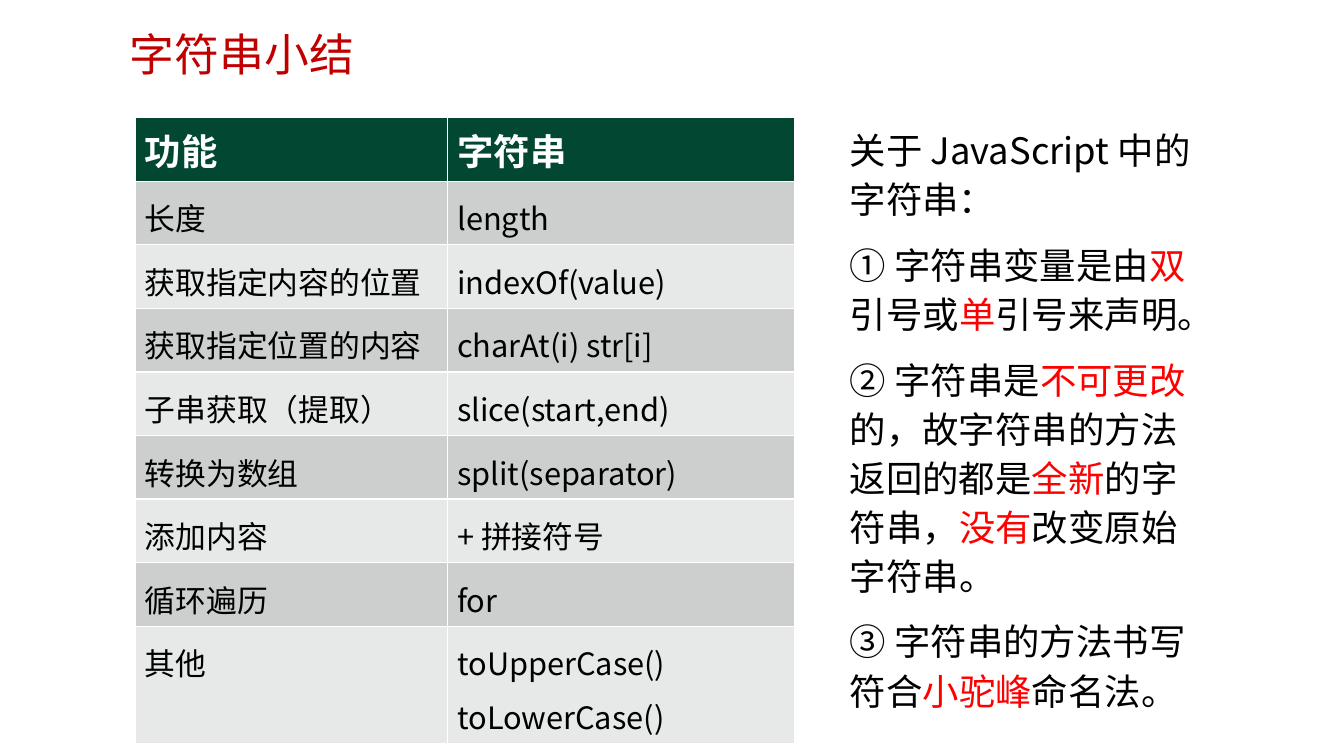
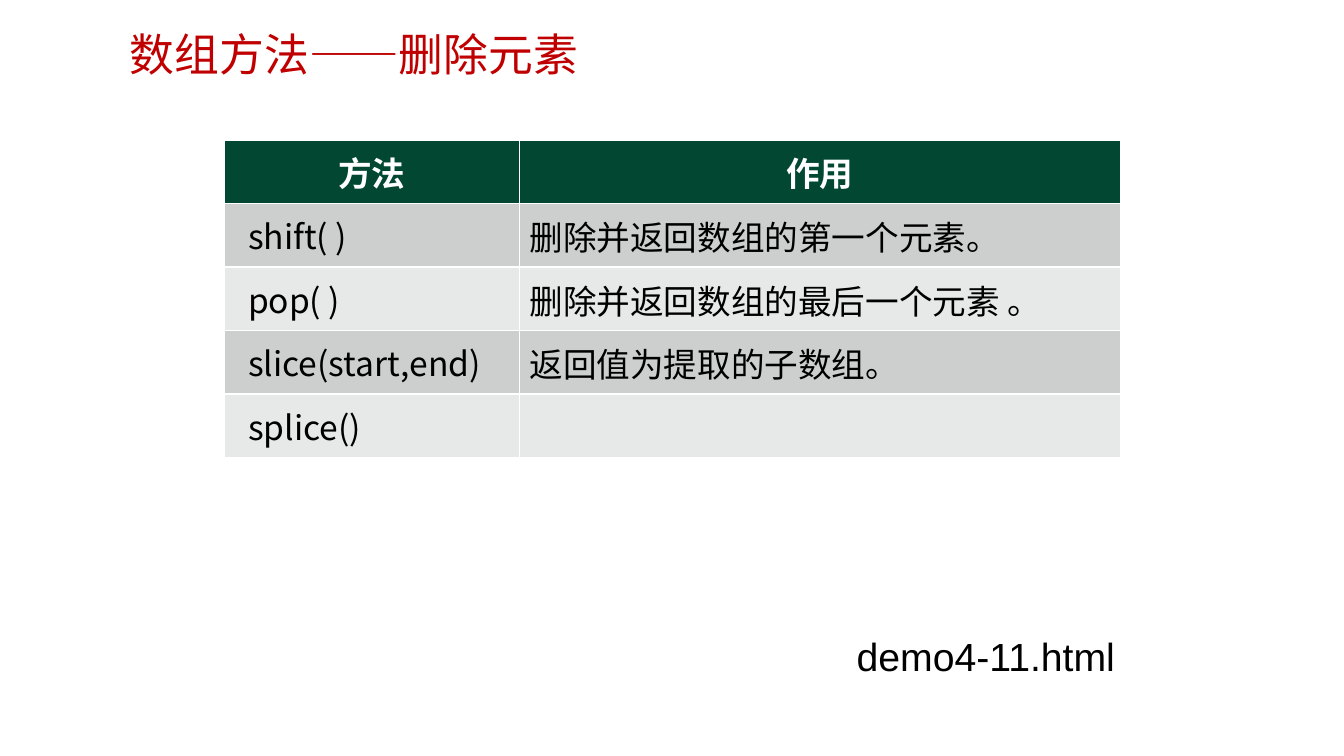
from pptx import Presentation
from pptx.dml.color import RGBColor
from pptx.enum.text import MSO_ANCHOR, MSO_AUTO_SIZE, PP_ALIGN
from pptx.oxml.ns import qn
from pptx.util import Cm, Pt
from lxml import etree

LEFT, CENTER = PP_ALIGN.LEFT, PP_ALIGN.CENTER
MIDDLE = MSO_ANCHOR.MIDDLE
NO_FIT = MSO_AUTO_SIZE.NONE

WHITE = RGBColor(0xFF, 0xFF, 0xFF)
BLACK = RGBColor(0, 0, 0)
RED = RGBColor(0xFF, 0, 0)
TITLE_RED = RGBColor(0xC0, 0, 0)
GREEN = RGBColor(0x02, 0x47, 0x31)
BANDS = [RGBColor(0xE7, 0xE9, 0xE8), RGBColor(0xCC, 0xCF, 0xCE)]

NOTO, KARLA, ARIAL = "Noto Sans CJK SC", "Karla", "Arial"


def style_span(span, size, color=BLACK, font=NOTO, bold=False):
    span.font.size = Pt(size)
    span.font.color.rgb = color
    span.font.name = font
    span.font.bold = bold
    # Chinese characters take their own typeface, placed after the Latin one
    latin = span.font._element.find(qn("a:latin"))
    east_asian = etree.Element(qn("a:ea"), typeface=NOTO)
    latin.addnext(east_asian)


def add_grid(page, left, top, widths, heights, rows, header_size, body_size, header_font):
    frame = page.shapes.add_table(len(rows), len(widths), Cm(left), Cm(top),
                                  Cm(sum(widths)), Cm(sum(heights)))
    grid = frame.table
    for column, width in zip(grid.columns, widths):
        column.width = Cm(width)
    for row_number, (texts, height) in enumerate(zip(rows, heights)):
        grid.rows[row_number].height = Cm(height)
        is_header = row_number == 0
        for column_number, text in enumerate(texts):
            cell = grid.cell(row_number, column_number)
            cell.fill.solid()
            cell.fill.fore_color.rgb = GREEN if is_header else BANDS[row_number % 2]
            cell.text_frame.text = text
            for para in cell.text_frame.paragraphs:
                for span in para.runs:
                    if is_header:
                        style_span(span, header_size, WHITE, header_font, True)
                    else:
                        style_span(span, body_size)
    return grid


deck = Presentation()
deck.slide_width, deck.slide_height = Cm(33.87), Cm(19.05)

# Pages with their shared title style
pages = []
for layout_number, heading in [(1, "字符串小结"), (5, "数组方法——删除元素")]:
    page = deck.slides.add_slide(deck.slide_layouts[layout_number])
    title = page.shapes.title
    title.left, title.top, title.width, title.height = Cm(3.02), Cm(0.66), Cm(22.76), Cm(1.37)
    title.text_frame.text = heading
    title.text_frame.auto_size = NO_FIT
    title.text_frame.vertical_anchor = MIDDLE
    title.text_frame.paragraphs[0].alignment = LEFT
    style_span(title.text_frame.paragraphs[0].runs[0], 32, TITLE_RED)
    pages.append(page)
string_page, array_page = pages

# String summary: table of functions
string_rows = [
    ("功能", "字符串"),
    ("长度", "length"),
    ("获取指定内容的位置", "indexOf(value)"),
    ("获取指定位置的内容", "charAt(i) str[i]"),
    ("子串获取（提取）", "slice(start,end)"),
    ("转换为数组", "split(separator)"),
    ("添加内容", "+ 拼接符号"),
    ("循环遍历", "for"),
    ("其他", "toUpperCase()\ntoLowerCase()"),
]
string_grid = add_grid(string_page, 3.4, 2.97, [7.87, 8.76], [1.6] * 8 + [2.95],
                       string_rows, 26, 22, NOTO)
for row_number in range(1, len(string_rows)):
    for cell in string_grid.rows[row_number].cells:
        for para in cell.text_frame.paragraphs:
            para.line_spacing = 1.2

# String summary: notes on the right
string_notes = [
    [("关于 JavaScript 中的字符串：", BLACK, NOTO)],
    [("① ", BLACK, NOTO), ("字符串变量是由", BLACK, KARLA), ("双", RED, KARLA),
     ("引号或", BLACK, KARLA), ("单", RED, KARLA), ("引号来声明。", BLACK, KARLA)],
    [("② 字符串是", BLACK, NOTO), ("不可更改", RED, NOTO),
     ("的，故字符串的方法返回的都是", BLACK, NOTO), ("全新", RED, NOTO),
     ("的字符串，", BLACK, NOTO), ("没有", RED, KARLA),
     ("改变原始字符串", BLACK, KARLA), ("。", BLACK, NOTO)],
    [("③ 字符串的方法书写符合", BLACK, NOTO), ("小驼峰", RED, NOTO),
     ("命名法。", BLACK, NOTO)],
]
notes_box = string_page.placeholders[1]
notes_box.left, notes_box.top, notes_box.width, notes_box.height = (
    Cm(21.16), Cm(2.9), Cm(9.4), Cm(15.24))
notes_box.fill.solid()
notes_box.fill.fore_color.rgb = WHITE
notes_frame = notes_box.text_frame
notes_frame.auto_size = NO_FIT
notes_frame.vertical_anchor = MIDDLE
for number, note in enumerate(string_notes):
    para = notes_frame.add_paragraph() if number else notes_frame.paragraphs[0]
    para.line_spacing = Pt(35)
    para.space_before = para.space_after = Pt(6)
    properties = para._p.get_or_add_pPr()
    properties.set("marL", "0")
    properties.set("indent", "0")
    etree.SubElement(properties, qn("a:buNone"))
    for text, color, font in note:
        span = para.add_run()
        span.text = text
        style_span(span, 26, color, font)

# Array methods: table of removal methods
array_rows = [
    ("方法", "作用"),
    ("shift( )", "删除并返回数组的第一个元素。"),
    ("pop( )", "删除并返回数组的最后一个元素 。"),
    ("slice(start,end)", "返回值为提取的子数组。"),
    ("splice()", ""),
]
array_grid = add_grid(array_page, 5.65, 3.53, [7.44, 15.14], [1.6] * 5,
                      array_rows, 24, 24, KARLA)
for row_number in range(len(array_rows)):
    method_cell, effect_cell = array_grid.rows[row_number].cells
    method_cell.vertical_anchor = effect_cell.vertical_anchor = MIDDLE
    if row_number == 0:
        for cell in (method_cell, effect_cell):
            cell.text_frame.paragraphs[0].alignment = CENTER
    else:
        method_cell.margin_left = Cm(0.6)
        effect_para = effect_cell.text_frame.paragraphs[0]
        effect_para.line_spacing = Pt(36)
        effect_para.space_after = Pt(6)

# Array methods: name of the demo file
demo_box = array_page.shapes.add_textbox(Cm(21.34), Cm(15.82), Cm(8.61), Cm(1.45))
demo_box.text_frame.word_wrap = True
demo_box.text_frame.text = "demo4-11.html"
style_span(demo_box.text_frame.paragraphs[0].runs[0], 28, font=ARIAL)

deck.save("out.pptx")
